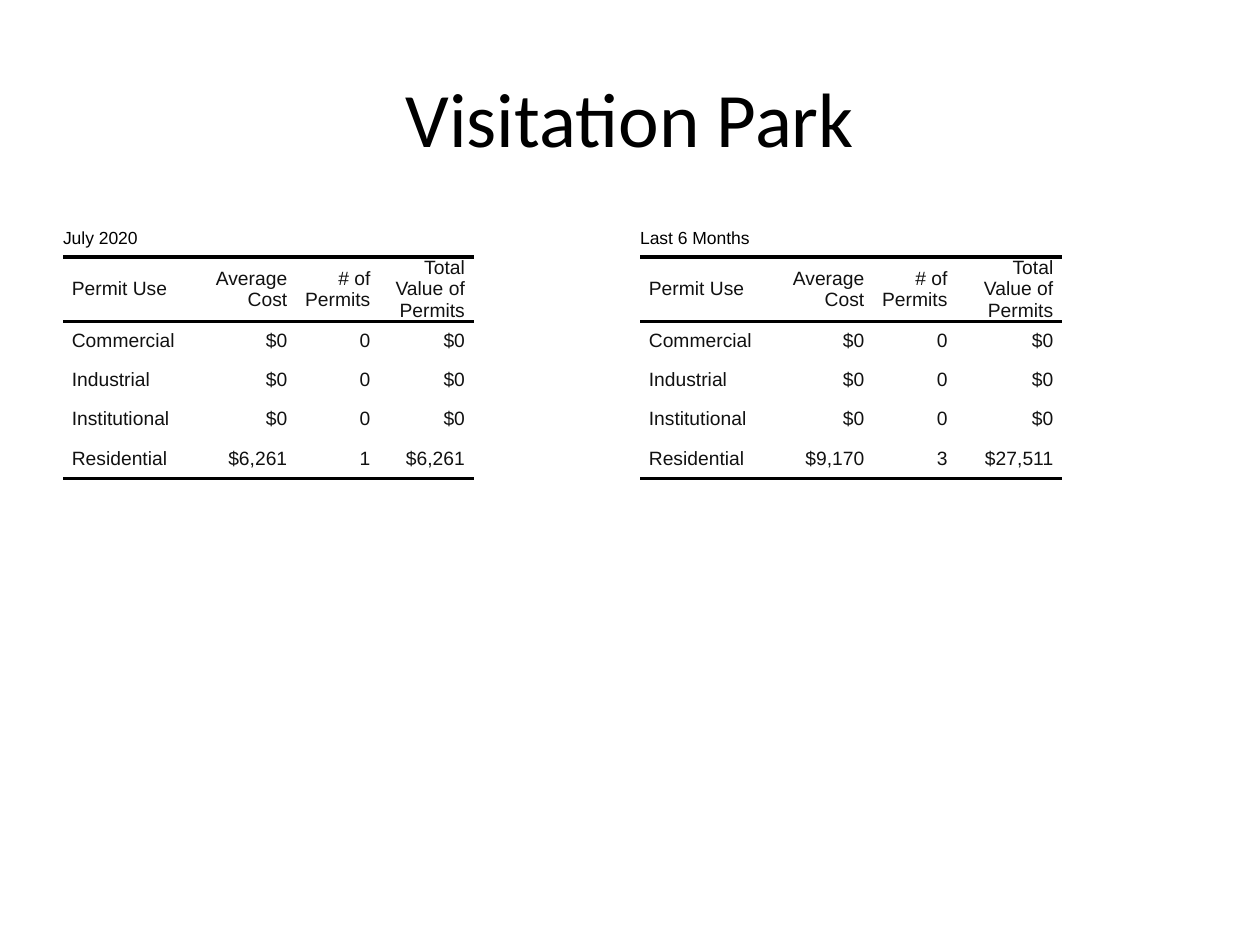
from lxml import etree
from pptx import Presentation
from pptx.dml.color import RGBColor
from pptx.enum.text import MSO_ANCHOR, PP_ALIGN
from pptx.oxml.ns import qn
from pptx.util import Inches, Pt

MIDDLE = MSO_ANCHOR.MIDDLE
LEFT, CENTER, RIGHT = PP_ALIGN.LEFT, PP_ALIGN.CENTER, PP_ALIGN.RIGHT
BLACK = RGBColor(0x00, 0x00, 0x00)
INK = RGBColor(0x11, 0x11, 0x11)

# Content
TITLE = "Visitation Park"
HEADER = ("Permit Use", "Average Cost", "# of Permits", "Total Value of Permits")
NO_PERMITS = [(use, "$0", "0", "$0")
              for use in ("Commercial", "Industrial", "Institutional")]
PERMIT_TABLES = [
    {"caption": "July 2020", "left": 0.5, "widths": (1.1, 0.75, 0.66, 0.75),
     "residential": ("Residential", "$6,261", "1", "$6,261")},
    {"caption": "Last 6 Months", "left": 5.08, "widths": (1.1, 0.75, 0.66, 0.84),
     "residential": ("Residential", "$9,170", "3", "$27,511")},
]

# Layout and formats
TABLE_TOP = 1.75
ROW_HEIGHTS = (0.29, 0.29, 0.31, 0.31, 0.31, 0.32)
CELL_PAD = 0.07
RULED_EDGES = {0, 1, 5}  # rows with a rule beneath them
TITLE_FONT = {"name": "Calibri", "size": Pt(44)}
CAPTION_FONT = {"name": "Arial", "size": Pt(10)}
CELL_FONT = {"name": "Arial", "size": Pt(11)}


def write(frame, text, font, color, align):
    para = frame.paragraphs[0]
    para.alignment = align
    span = para.add_run()
    span.text = text
    for name, value in font.items():
        setattr(span.font, name, value)
    span.font.color.rgb = color


def set_borders(cell, top, bottom):
    """Draw a rule above or below the cell and clear its other edges."""
    properties = cell._tc.get_or_add_tcPr()
    edges = {"lnL": False, "lnR": False, "lnT": top, "lnB": bottom}
    for index, (edge, ruled) in enumerate(edges.items()):
        line = etree.Element(qn(f"a:{edge}"), w=str(Pt(2) if ruled else 0))
        if ruled:
            fill = etree.SubElement(line, qn("a:solidFill"))
            etree.SubElement(fill, qn("a:srgbClr"), val=str(BLACK))
        else:
            etree.SubElement(line, qn("a:noFill"))
        properties.insert(index, line)


def add_permit_table(page, data):
    rows = [(data["caption"], "", "", ""), HEADER, *NO_PERMITS, data["residential"]]
    widths = data["widths"]
    table = page.shapes.add_table(
        len(rows), len(widths), Inches(data["left"]), Inches(TABLE_TOP),
        Inches(sum(widths)), Inches(sum(ROW_HEIGHTS))).table
    table.first_row = table.horz_banding = False
    for column, width in zip(table.columns, widths):
        column.width = Inches(width)
    table.cell(0, 0).merge(table.cell(0, len(widths) - 1))

    for r, values in enumerate(rows):
        table.rows[r].height = Inches(ROW_HEIGHTS[r])
        for c, text in enumerate(values):
            cell = table.cell(r, c)
            cell.vertical_anchor = MIDDLE
            cell.margin_top = cell.margin_bottom = 0
            cell.margin_left = cell.margin_right = Inches(CELL_PAD if r else 0)
            cell.fill.background()
            set_borders(cell, r - 1 in RULED_EDGES, r in RULED_EDGES)
            if text:
                write(cell.text_frame, text, CELL_FONT if r else CAPTION_FONT,
                      INK if r else BLACK, RIGHT if c else LEFT)


def main():
    deck = Presentation()
    deck.slide_width, deck.slide_height = Inches(10), Inches(7.5)
    page = deck.slides.add_slide(deck.slide_layouts[6])

    # Permit tables
    for data in PERMIT_TABLES:
        add_permit_table(page, data)

    # Title
    box = page.shapes.add_textbox(Inches(0.5), Inches(0.3), Inches(9), Inches(1.25))
    box.text_frame.word_wrap = True
    box.text_frame.vertical_anchor = MIDDLE
    write(box.text_frame, TITLE, TITLE_FONT, BLACK, CENTER)

    deck.save("out.pptx")


if __name__ == "__main__":
    main()
